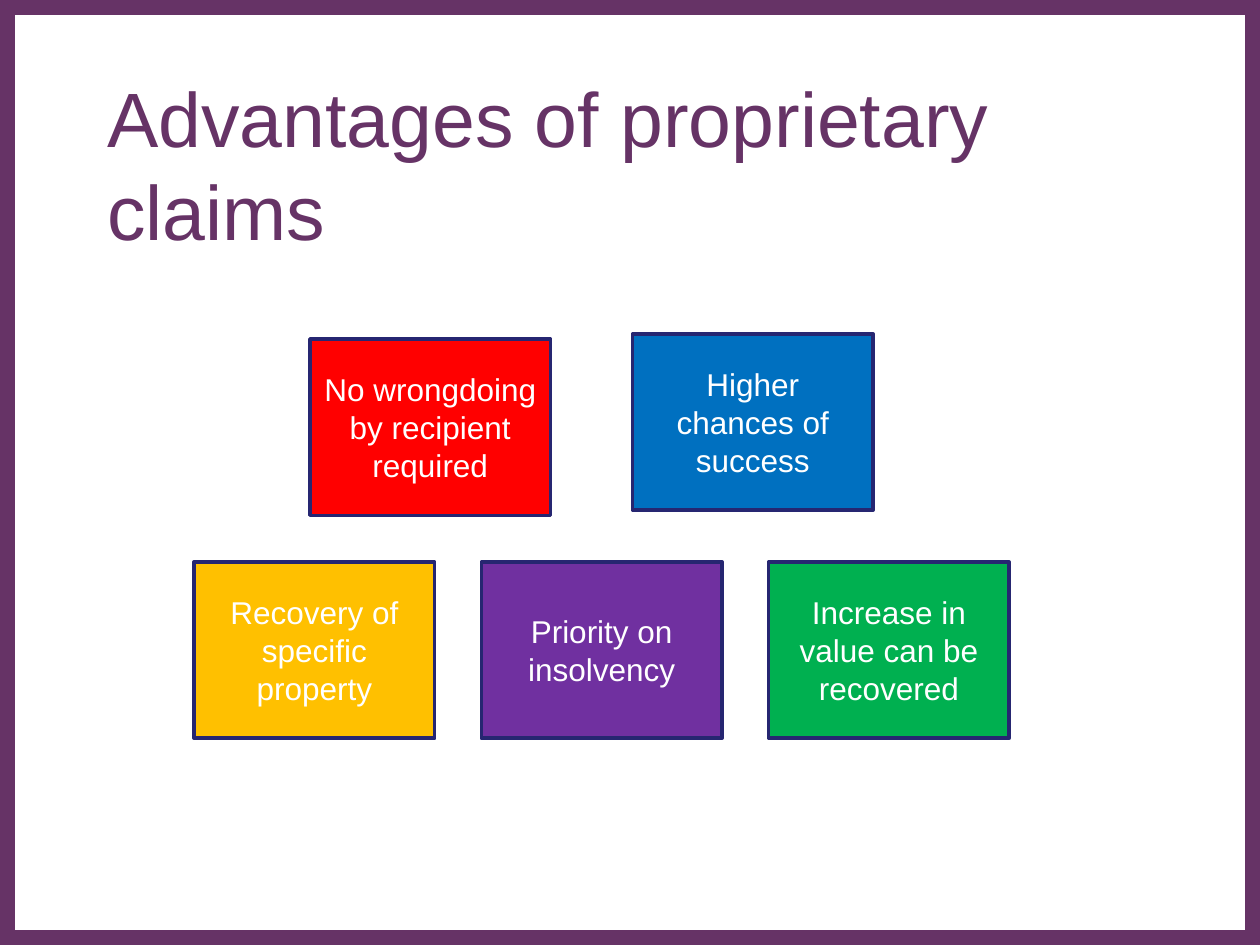
from dataclasses import dataclass

from pptx import Presentation
from pptx.dml.color import RGBColor
from pptx.enum.shapes import MSO_SHAPE
from pptx.enum.text import MSO_ANCHOR, PP_ALIGN
from pptx.util import Inches, Pt


@dataclass(frozen=True)
class Theme:
    font: str = "Arial"
    purple: str = "663366"
    white: str = "FFFFFF"
    outline: str = "262671"
    title_size: int = 44
    card_size: int = 18
    outline_width: int = 2


THEME = Theme()
TITLE = "Advantages of proprietary claims"
CARD_ROWS = [
    {"left": 2.46, "tops": (2.69, 2.65), "pitch": 2.56, "cards": [
        ("No wrongdoing by recipient required", "FF0000"),
        ("Higher chances of success", "0070C0"),
    ]},
    {"left": 1.54, "tops": (4.46, 4.46, 4.46), "pitch": 2.28, "cards": [
        ("Recovery of specific property", "FFC000"),
        ("Priority on insolvency", "7030A0"),
        ("Increase in value can be recovered", "00B050"),
    ]},
]
SLIDE_WIDTH, SLIDE_HEIGHT = 10, 7.5
BORDER = 0.12
CARD_WIDTH, CARD_HEIGHT = 1.91, 1.4


def add_rectangle(page, left, top, width, height, fill):
    box = page.shapes.add_shape(
        MSO_SHAPE.RECTANGLE, Inches(left), Inches(top), Inches(width), Inches(height))
    box.shadow.inherit = False
    box.fill.solid()
    box.fill.fore_color.rgb = RGBColor.from_string(fill)
    box.line.fill.background()
    return box


def write(box, text, size, color, align):
    frame = box.text_frame
    frame.word_wrap = True
    frame.vertical_anchor = MSO_ANCHOR.MIDDLE
    frame.text = text
    para = frame.paragraphs[0]
    para.alignment = align
    para.font.name = THEME.font
    para.font.size = Pt(size)
    para.font.color.rgb = RGBColor.from_string(color)


def add_border(page):
    add_rectangle(page, 0, 0, SLIDE_WIDTH, SLIDE_HEIGHT, THEME.purple)
    add_rectangle(page, BORDER, BORDER, SLIDE_WIDTH - 2 * BORDER,
                  SLIDE_HEIGHT - 2 * BORDER, THEME.white)


def add_title(page):
    title = page.shapes.title
    page.shapes.element.append(title.element)
    title.left, title.top = Inches(0.75), Inches(0.67)
    title.width, title.height = Inches(8.5), Inches(1.25)
    write(title, TITLE, THEME.title_size, THEME.purple, PP_ALIGN.LEFT)


def add_cards(page):
    for row in CARD_ROWS:
        for column, ((text, fill), top) in enumerate(zip(row["cards"], row["tops"])):
            left = row["left"] + column * row["pitch"]
            card = add_rectangle(page, left, top, CARD_WIDTH, CARD_HEIGHT, fill)
            card.line.color.rgb = RGBColor.from_string(THEME.outline)
            card.line.width = Pt(THEME.outline_width)
            write(card, text, THEME.card_size, THEME.white, PP_ALIGN.CENTER)


def main():
    deck = Presentation()
    deck.slide_width, deck.slide_height = Inches(SLIDE_WIDTH), Inches(SLIDE_HEIGHT)
    page = deck.slides.add_slide(deck.slide_layouts.get_by_name("Title Only"))
    add_border(page)
    add_title(page)
    add_cards(page)
    deck.save("out.pptx")


if __name__ == "__main__":
    main()
